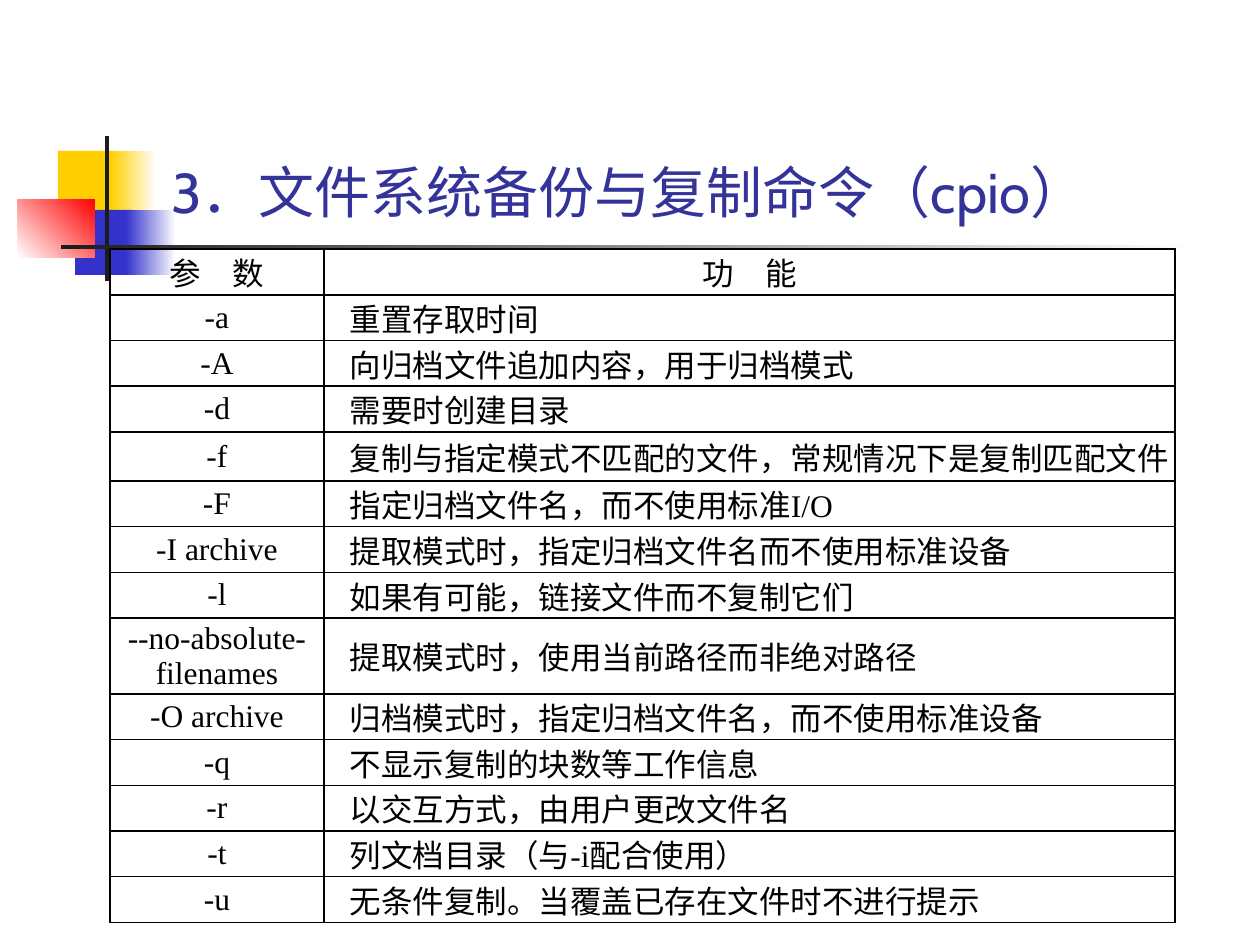
from dataclasses import dataclass
from typing import NamedTuple, Optional

from lxml.etree import SubElement
from pptx import Presentation
from pptx.dml.color import RGBColor
from pptx.enum.shapes import MSO_SHAPE as Shape
from pptx.enum.text import MSO_ANCHOR as Anchor, PP_ALIGN as Align
from pptx.oxml.ns import qn
from pptx.util import Emu, Pt

EMU_PER_PX = 914400 / 126


@dataclass(frozen=True)
class Theme:
    yellow: str = "FFCF01"
    blue: str = "3333CC"
    red: str = "FF0000"
    white: str = "FFFFFF"
    dark: str = "1C1C1C"
    title: str = "333399"
    text: str = "000000"
    border: str = "080000"
    title_font: str = "Cabin"
    body_font: str = "Times New Roman"
    chinese_font: str = "Noto Sans CJK SC"
    title_size: int = 32
    body_size: int = 18
    border_width: int = 1


THEME = Theme()


class Block(NamedTuple):
    left: int
    top: int
    width: int
    height: int
    color: str
    fade_to: Optional[str] = None
    angle: int = 0


class Span(NamedTuple):
    text: str
    font: str = THEME.body_font


class Option(NamedTuple):
    flag: str
    meaning: tuple[Span, ...]
    height: Optional[int] = None  # None: an equal share of the remaining height


def chinese(text: str) -> Span:
    return Span(text, THEME.chinese_font)


# Corner ornament, from back to front
BLOCKS = (
    Block(58, 151, 60, 66, THEME.yellow),
    Block(111, 151, 45, 66, THEME.yellow, THEME.white),
    Block(75, 210, 58, 65, THEME.blue),
    Block(126, 210, 50, 65, THEME.blue, THEME.white),
    Block(18, 199, 77, 59, THEME.white, THEME.red, 45),
    Block(105, 136, 4, 145, THEME.dark),
    Block(61, 245, 1134, 4, THEME.dark, THEME.white),
)

TITLE = "3．文件系统备份与复制命令（cpio）"
HEADINGS = ("参　数", "功　能")
COLUMN_WIDTHS = (214, 851)
TABLE_LEFT, TABLE_TOP, TABLE_HEIGHT = 110, 249, 673
MEANING_INDENT = 26

OPTIONS = (
    Option("-a", (Span("重置存取时间"),)),
    Option("-A", (Span("向归档文件追加内容，用于归档模式"),)),
    Option("-d", (Span("需要时创建目录"),)),
    Option("-f", (chinese("复制"), Span("与指定模式不匹配的文件，常规情况下是"),
                  chinese("复制"), Span("匹配文件")), 49),
    Option("-F", (Span("指定归档文件名，而不使用标准I/O"),)),
    Option("-I archive", (Span("提取模式时，指定归档文件名而不使用标准设备"),)),
    Option("-l", (chinese("如果"), Span("有可能，链接文件而不复制它们"))),
    Option("--no-absolute-filenames", (Span("提取模式时，使用当前路径而非绝对路径"),), 75),
    Option("-O archive", (Span("归档模式时，指定归档文件名，而不使用标准设备"),)),
    Option("-q", (Span("不显示复制的块数等工作信息"),)),
    Option("-r", (Span("以交互方式，由用户更改文件名"),)),
    Option("-t", (Span("列文档目录（与-i配合使用）"),)),
    Option("-u", (Span("无条件"), chinese("复制"), Span("。当覆盖已存在文件"),
                  chinese("时"), Span("不进行提示"))),
)


def px(length: int) -> Emu:
    return Emu(round(length * EMU_PER_PX))


def rgb(color: str) -> RGBColor:
    return RGBColor.from_string(color)


def draw_block(page, block: Block) -> None:
    shape = page.shapes.add_shape(Shape.RECTANGLE, *map(px, block[:4]))
    shape.shadow.inherit = False
    shape.line.fill.background()
    if block.fade_to is None:
        shape.fill.solid()
        shape.fill.fore_color.rgb = rgb(block.color)
        return
    shape.fill.gradient()
    shape.fill.gradient_angle = block.angle
    for stop, color in zip(shape.fill.gradient_stops, (block.color, block.fade_to)):
        stop.color.rgb = rgb(color)


def add_span(para, span: Span, size: int, color: str) -> None:
    run = para.add_run()
    run.text = span.text
    run.font.name = span.font
    run.font.size = Pt(size)
    run.font.color.rgb = rgb(color)
    east_asian = SubElement(run.font._element, qn("a:ea"))
    east_asian.set("typeface", THEME.chinese_font)


def draw_title(page) -> None:
    box = page.shapes.add_textbox(px(159), px(29), px(1074), px(202))
    frame = box.text_frame
    frame.word_wrap = True
    frame.vertical_anchor = Anchor.BOTTOM
    add_span(frame.paragraphs[0], Span(TITLE, THEME.title_font),
             THEME.title_size, THEME.title)


def add_borders(cell) -> None:
    properties = cell._tc.get_or_add_tcPr()
    for side in ("lnL", "lnR", "lnT", "lnB"):
        line = SubElement(properties, qn(f"a:{side}"), w=str(Pt(THEME.border_width)))
        fill = SubElement(line, qn("a:solidFill"))
        SubElement(fill, qn("a:srgbClr"), val=THEME.border)


def fill_cell(cell, spans: tuple[Span, ...], centred: bool) -> None:
    cell.margin_left = cell.margin_right = cell.margin_top = cell.margin_bottom = 0
    cell.vertical_anchor = Anchor.MIDDLE
    add_borders(cell)
    cell.fill.background()
    para = cell.text_frame.paragraphs[0]
    if centred:
        para.alignment = Align.CENTER
    else:
        para._p.get_or_add_pPr().set("indent", str(px(MEANING_INDENT)))
    for span in spans:
        add_span(para, span, THEME.body_size, THEME.text)


def row_heights() -> list[Emu]:
    fixed = [None, *(option.height for option in OPTIONS)]
    remaining = TABLE_HEIGHT - sum(height or 0 for height in fixed)
    share = Emu(px(remaining) // fixed.count(None))
    return [share if height is None else px(height) for height in fixed]


def draw_table(page) -> None:
    heights = row_heights()
    table = page.shapes.add_table(
        len(heights), len(COLUMN_WIDTHS), px(TABLE_LEFT), px(TABLE_TOP),
        px(sum(COLUMN_WIDTHS)), px(TABLE_HEIGHT)).table
    table.first_row = table.horz_banding = False
    for column, width in zip(table.columns, COLUMN_WIDTHS):
        column.width = px(width)
    for row, height in zip(table.rows, heights):
        row.height = height

    for index, heading in enumerate(HEADINGS):
        fill_cell(table.cell(0, index), (Span(heading),), centred=True)
    for index, option in enumerate(OPTIONS, start=1):
        fill_cell(table.cell(index, 0), (Span(option.flag),), centred=True)
        fill_cell(table.cell(index, 1), option.meaning, centred=False)


def main() -> None:
    deck = Presentation()
    deck.slide_width, deck.slide_height = px(1260), px(945)
    page = deck.slides.add_slide(deck.slide_layouts[6])
    for block in BLOCKS:
        draw_block(page, block)
    draw_title(page)
    draw_table(page)
    deck.save("out.pptx")


if __name__ == "__main__":
    main()
